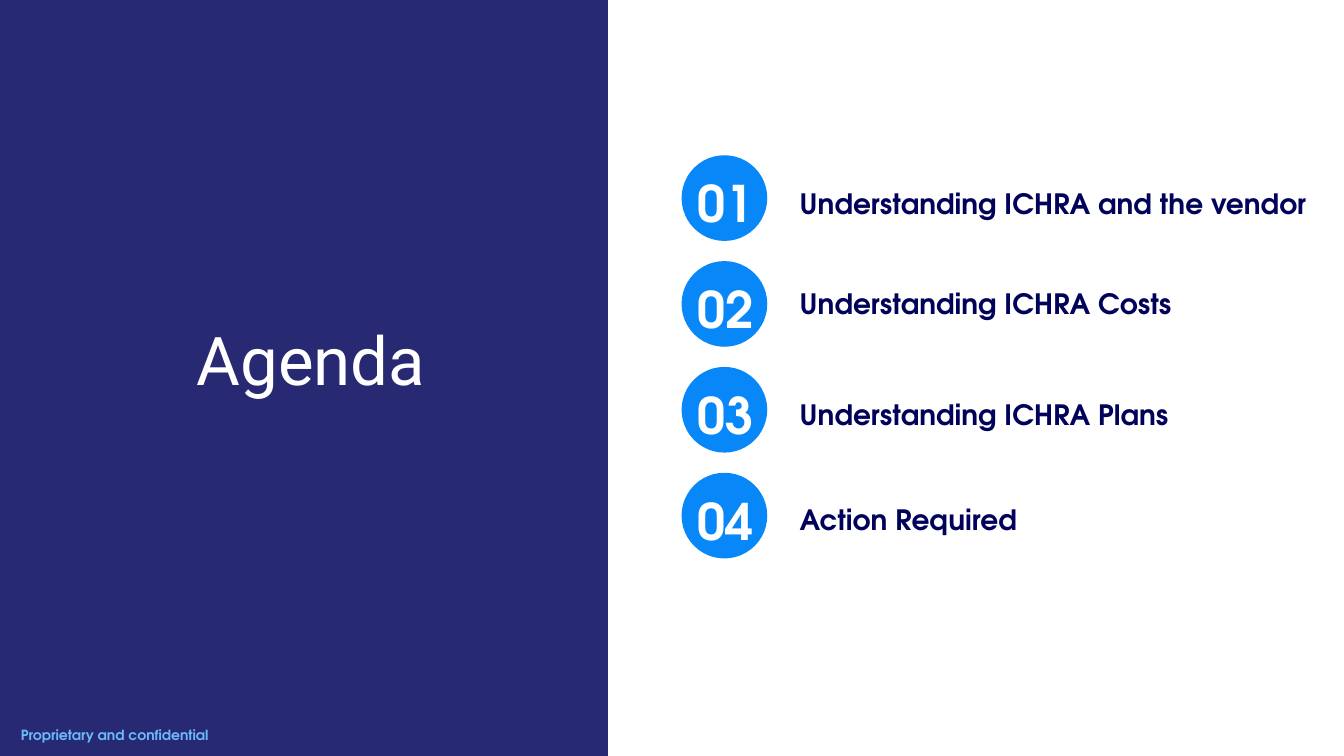
"""Builds an agenda slide with a dark title panel and four numbered topics."""
from pptx import Presentation
from pptx.dml.color import RGBColor
from pptx.enum.shapes import MSO_SHAPE
from pptx.enum.text import MSO_ANCHOR, MSO_AUTO_SIZE, PP_ALIGN
from pptx.util import Inches, Pt

RECTANGLE, OVAL = MSO_SHAPE.RECTANGLE, MSO_SHAPE.OVAL
LEFT, CENTER = PP_ALIGN.LEFT, PP_ALIGN.CENTER
TOP, MIDDLE = MSO_ANCHOR.TOP, MSO_ANCHOR.MIDDLE
GROW = MSO_AUTO_SIZE.SHAPE_TO_FIT_TEXT

NAVY = RGBColor(0x28, 0x29, 0x73)
INK = RGBColor(0x01, 0x02, 0x59)
BLUE = RGBColor(0x08, 0x88, 0xF8)
SKY = RGBColor(0x6B, 0xB8, 0xFB)
WHITE = RGBColor(0xFF, 0xFF, 0xFF)

TITLE_FONT = "Roboto"
BODY_FONT = "TeX Gyre Adventor"

TOPICS = [
    ("Understanding ICHRA and the vendor", 1.8),
    ("Understanding ICHRA Costs", 2.79),
    ("Understanding ICHRA Plans", 3.89),
    ("Action Required", 4.94),
]
FIRST_CIRCLE_TOP = 1.54
TOPIC_PITCH = 1.05


def add_filled(shapes, kind, box, color):
    """Add a borderless shape in one colour."""
    shape = shapes.add_shape(kind, *map(Inches, box))
    shape.shadow.inherit = False
    shape.fill.solid()
    shape.fill.fore_color.rgb = color
    shape.line.fill.background()
    return shape


def write(frame, text, size, color, font=BODY_FONT, bold=True,
          align=LEFT, anchor=TOP, insets=(0.12, 0.12)):
    """Fill a text frame with one formatted line."""
    frame.text = text
    frame.word_wrap = True
    frame.auto_size = GROW
    frame.vertical_anchor = anchor
    frame.margin_left, frame.margin_right = map(Inches, insets)
    frame.margin_top = frame.margin_bottom = Inches(0.05)
    line = frame.paragraphs[0]
    line.alignment = align
    run_font = line.runs[0].font
    run_font.name = font
    run_font.size = Pt(size)
    run_font.bold = bold
    run_font.color.rgb = color


def add_label(shapes, box, text, size, color, **style):
    """Add a text box holding one line."""
    label = shapes.add_textbox(*map(Inches, box))
    write(label.text_frame, text, size, color, **style)


def add_topic(slide, index, topic, topic_top):
    """Add a grouped topic with its numbered circle."""
    circle_top = FIRST_CIRCLE_TOP + index * TOPIC_PITCH
    members = slide.shapes.add_group_shape().shapes
    add_label(members, (7.81, topic_top, 5.5, 0.44), topic, 20, INK)
    add_filled(members, OVAL, (6.76, circle_top, 0.85, 0.85), BLUE)
    add_label(members, (6.67, circle_top + 0.12, 1.05, 0.71),
              f"{index + 1:02d}", 36, WHITE, align=CENTER)


def place_title(slide, text):
    """Move and format the title placeholder."""
    title = slide.shapes.title
    title.left, title.top, title.width, title.height = map(
        Inches, (1.24, 3.1, 3.49, 0.91))
    write(title.text_frame, text, 48, WHITE, font=TITLE_FONT, bold=False,
          align=CENTER, anchor=MIDDLE, insets=(0.3, 0.1))
    return title


def main():
    """Build and save the slide."""
    deck = Presentation()
    deck.slide_width, deck.slide_height = Inches(13.33), Inches(7.5)
    slide = deck.slides.add_slide(deck.slide_layouts[5])
    title = place_title(slide, "Agenda")
    panel = add_filled(slide.shapes, RECTANGLE, (-0.07, -0.05, 6.1, 7.6), NAVY)
    title.element.addprevious(panel.element)
    add_label(slide.shapes, (0.11, 7.16, 3.96, 0.27),
              "Proprietary and confidential", 10, SKY, insets=(0.1, 0.1))
    for index, (topic, topic_top) in enumerate(TOPICS):
        add_topic(slide, index, topic, topic_top)
    deck.save("out.pptx")


if __name__ == "__main__":
    main()
